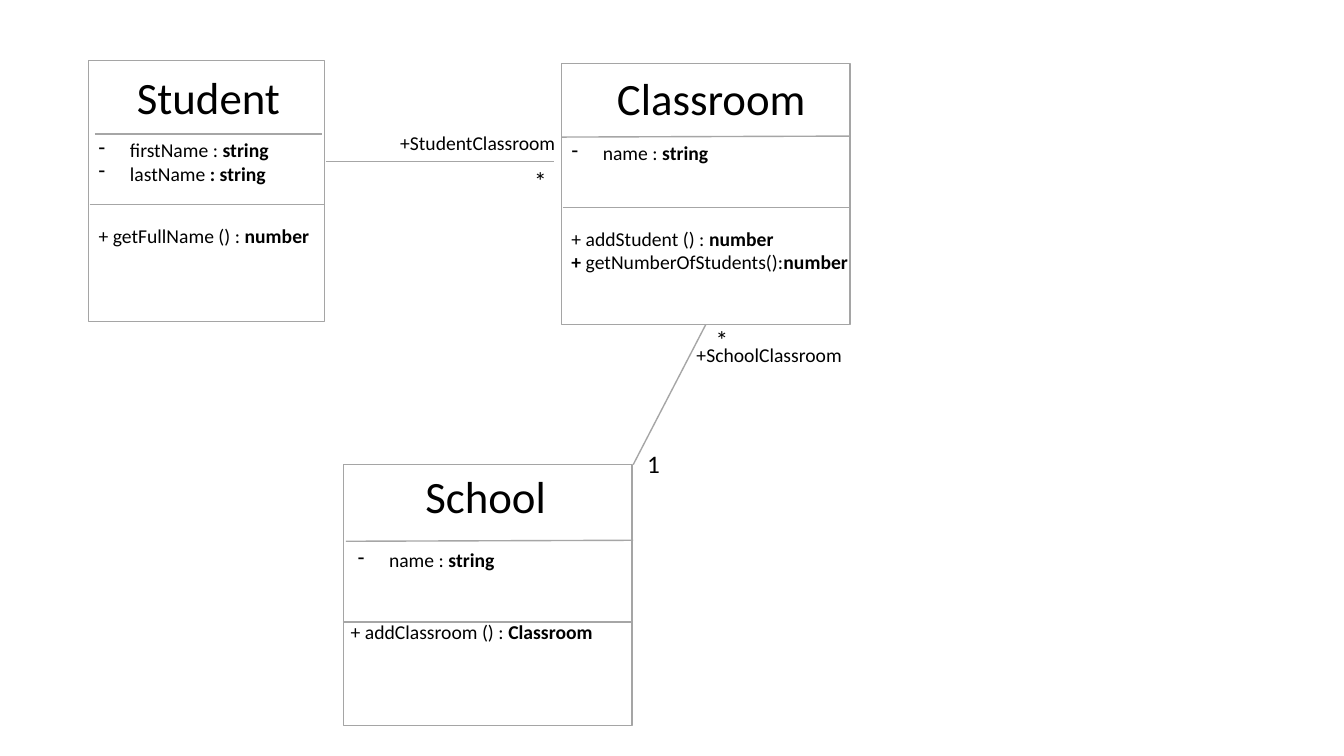
from lxml import etree
from pptx import Presentation
from pptx.dml.color import RGBColor
from pptx.enum.shapes import MSO_CONNECTOR as CONNECTOR, MSO_SHAPE as SHAPE
from pptx.enum.text import MSO_AUTO_SIZE as AUTO_SIZE
from pptx.oxml.ns import qn
from pptx.util import Inches, Pt

BLACK = RGBColor(0x00, 0x00, 0x00)
WHITE = RGBColor(0xFF, 0xFF, 0xFF)
BORDER = RGBColor(0xA5, 0xA5, 0xA5)
RULE = RGBColor(0xA6, 0xA6, 0xA6)
HANGING = Inches(0.31)


def add_text(shapes, at, size, paragraphs, bulleted=False, wrap=False):
    """Each paragraph is a list of runs; a run is (text, bold)."""
    frame = shapes.add_textbox(*map(Inches, at)).text_frame
    frame.word_wrap = wrap
    frame.auto_size = AUTO_SIZE.SHAPE_TO_FIT_TEXT
    for i, runs in enumerate(paragraphs):
        paragraph = frame.add_paragraph() if i else frame.paragraphs[0]
        if bulleted:
            props = paragraph._p.get_or_add_pPr()
            props.set("marL", str(HANGING))
            props.set("indent", str(-HANGING))
            etree.SubElement(props, qn("a:buFontTx"))
            etree.SubElement(props, qn("a:buChar")).set("char", "-")
        for text, bold in runs:
            run = paragraph.add_run()
            run.text = text
            run.font.name = "Calibri"
            run.font.size = Pt(size)
            run.font.bold = bold
            run.font.color.rgb = BLACK


def add_line(shapes, start, end):
    line = shapes.add_connector(CONNECTOR.STRAIGHT, *map(Inches, start + end))
    line.line.color.rgb = RULE
    line.line.width = Pt(1)
    etree.SubElement(line._element.spPr, qn("a:effectLst"))
    return line


prs = Presentation()
prs.slide_width, prs.slide_height = Inches(13.33), Inches(7.5)
slide = prs.slides.add_slide(prs.slide_layouts[6])

# Classes: box, name, attributes, operations and the two dividing rules
classes = [
    dict(name="Student", box=(0.88, 0.6, 2.34, 2.59), name_at=(1.26, 0.64, 1.64, 0.64),
         rules=[((0.94, 1.33), (3.19, 1.33)), ((0.89, 2.03), (3.22, 2.03))],
         attributes_at=(0.88, 1.32, 1.91, 0.57), attributes_wrap=False,
         attributes=[[("firstName : ", False), ("string", True)],
                     [("lastName", False), (" : string", True)]],
         operations_at=(0.88, 2.17, 2.3, 0.34),
         operations=[[("+ getFullName () : ", False), ("number", True)]]),
    dict(name="Classroom", box=(5.57, 0.63, 2.86, 2.59), name_at=(6.02, 0.65, 2.09, 0.64),
         rules=[((5.57, 1.36), (8.42, 1.35)), ((5.58, 2.06), (8.43, 2.06))],
         attributes_at=(5.57, 1.35, 2.09, 0.34), attributes_wrap=True,
         attributes=[[("name : ", False), ("string", True)]],
         operations_at=(5.57, 2.2, 3, 0.57),
         operations=[[("+ addStudent () : ", False), ("number", True)],
                     [("+ ", True), ("getNumberOfStudents():", False), ("number", True)]]),
    dict(name="School", box=(3.41, 4.61, 2.86, 2.59), name_at=(4.12, 4.6, 1.41, 0.64),
         rules=[((3.43, 5.37), (6.28, 5.36)), ((3.4, 6.17), (6.26, 6.17))],
         attributes_at=(3.45, 5.39, 2.09, 0.34), attributes_wrap=True,
         attributes=[[("name : ", False), ("string", True)]],
         operations_at=(3.38, 6.1, 2.62, 0.34),
         operations=[[("+ addClassroom () : ", False), ("Classroom", True)]]),
]
boxes = {}
for cls in classes:
    group = slide.shapes.add_group_shape().shapes
    box = group.add_shape(SHAPE.RECTANGLE, *map(Inches, cls["box"]))
    box.shadow.inherit = False
    box.fill.solid()
    box.fill.fore_color.rgb = WHITE
    box.line.color.rgb = BORDER
    box.line.width = Pt(1)
    boxes[cls["name"]] = box
    add_text(group, cls["name_at"], 32, [[(cls["name"], False)]])
    for start, end in cls["rules"]:
        add_line(group, start, end)
    add_text(group, cls["attributes_at"], 14, cls["attributes"],
             bulleted=True, wrap=cls["attributes_wrap"])
    add_text(group, cls["operations_at"], 14, cls["operations"])

# Associations between the classes
add_line(slide.shapes, (3.23, 1.6), (5.49, 1.6))
school_classroom = add_line(slide.shapes, (6.28, 4.61), (7, 3.22))
school_classroom.end_connect(boxes["Classroom"], 2)

# Role names and multiplicities
for label, size, at in [
    ("+StudentClassroom", 14, (3.87, 1.25, 1.76, 0.34)),
    ("*", 18, (5.2, 1.59, 0.33, 0.4)),
    ("+SchoolClassroom", 14, (6.81, 3.35, 1.66, 0.34)),
    ("*", 18, (7, 3.17, 0.33, 0.4)),
    ("1", 18, (6.32, 4.4, 0.33, 0.4)),
]:
    add_text(slide.shapes, at, size, [[(label, False)]])

prs.save("out.pptx")
